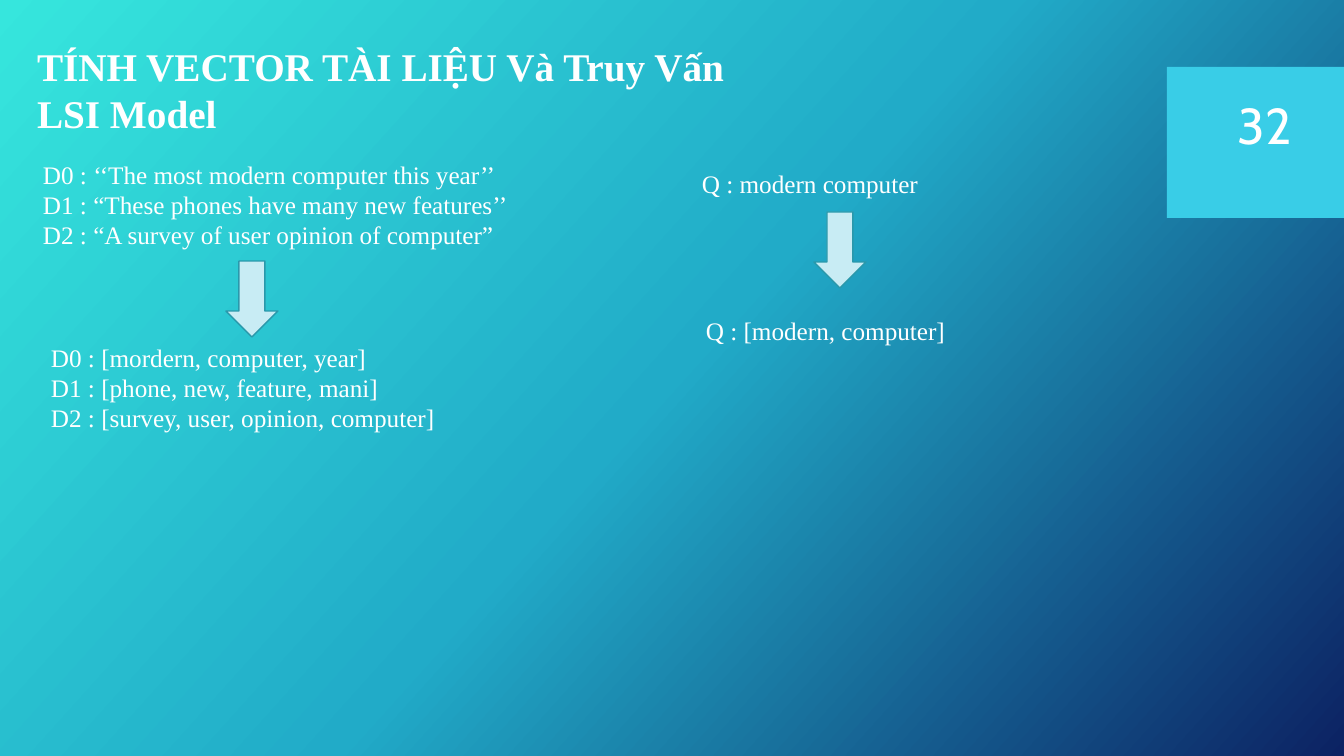
from copy import deepcopy

from pptx import Presentation
from pptx.dml.color import RGBColor
from pptx.enum.shapes import MSO_SHAPE
from pptx.enum.text import MSO_ANCHOR, MSO_AUTO_SIZE, PP_ALIGN
from pptx.util import Emu, Pt

RECT, DOWN_ARROW = MSO_SHAPE.RECTANGLE, MSO_SHAPE.DOWN_ARROW
TOP, MIDDLE = MSO_ANCHOR.TOP, MSO_ANCHOR.MIDDLE
LEFT = PP_ALIGN.LEFT
NO_FIT = MSO_AUTO_SIZE.NONE

SLIDE_W, SLIDE_H = 1344, 756
EMU_PER_PX = 12192000 / SLIDE_W
SERIF, SANS = "Times New Roman", "Cabin"
COLORS = {
    "bg_start": "36E6DD",
    "bg_middle": "21ABC8",
    "bg_end": "0C2263",
    "badge": "39CDE7",
    "arrow": "C8ECF4",
    "arrow_line": "2A98AB",
    "text": "FFFFFF",
}
TITLE = ["TÍNH VECTOR TÀI LIỆU Và Truy Vấn", "LSI Model"]
DOCUMENTS = [
    "D0 : ‘‘The most modern computer this year’’",
    "D1 : “These phones have many new features’’",
    "D2 : “A survey of user opinion of computer”",
]
DOCUMENT_TERMS = [
    "D0 : [mordern, computer, year]",
    "D1 : [phone, new, feature, mani]",
    "D2 : [survey, user, opinion, computer]",
]
ARROW_SIZE = (52, 76)


def px(n):
    return Emu(round(n * EMU_PER_PX))


def rgb(name):
    return RGBColor.from_string(COLORS[name])


def set_background(s):
    fill = s.background.fill
    fill.gradient()
    fill.gradient_angle = 360 - 42
    first = s.element.xpath(".//a:gsLst/a:gs")[0]
    first.addnext(deepcopy(first))
    names = ("bg_start", "bg_middle", "bg_end")
    for i, (stop, name) in enumerate(zip(fill.gradient_stops, names)):
        stop.position = i / 2
        stop.color.rgb = rgb(name)


def fill_text(sp, lines, size, font=SERIF, bold=False, anchor=TOP, wrap=False):
    tf = sp.text_frame
    tf.text = "\n".join(lines)
    tf.word_wrap = wrap
    tf.auto_size = NO_FIT
    tf.vertical_anchor = anchor
    for p in tf.paragraphs:
        p.alignment = LEFT
        p.font.name = font
        p.font.size = Pt(size)
        p.font.bold = bold
        p.font.color.rgb = rgb("text")


def set_title(s, box, lines):
    sp = s.shapes.title
    sp.left, sp.top, sp.width, sp.height = map(px, box)
    fill_text(sp, lines, 28, bold=True, wrap=True)


def add_text(s, box, lines, size=18, **style):
    sp = s.shapes.add_textbox(*map(px, box))
    fill_text(sp, lines, size, **style)


def add_block(s, kind, box, fill, line=None):
    sp = s.shapes.add_shape(kind, *map(px, box))
    sp.shadow.inherit = False
    sp.fill.solid()
    sp.fill.fore_color.rgb = rgb(fill)
    if line:
        sp.line.color.rgb = rgb(line)
        sp.line.width = Pt(1)
    else:
        sp.line.fill.background()


def main():
    prs = Presentation()
    prs.slide_width, prs.slide_height = px(SLIDE_W), px(SLIDE_H)
    s = prs.slides.add_slide(prs.slide_layouts.get_by_name("Title Only"))
    set_background(s)

    add_block(s, RECT, (1167, 67, 177, 151), "badge")
    set_title(s, (27, 37, 1062, 105), TITLE)
    add_text(s, (1228, 64, 116, 120), ["32"], 36, font=SANS, anchor=MIDDLE)

    add_text(s, (33, 154, 490, 102), DOCUMENTS)
    add_text(s, (41, 337, 408, 102), DOCUMENT_TERMS)
    add_text(s, (692, 163, 245, 40), ["Q : modern computer"])
    add_text(s, (696, 310, 262, 40), ["Q : [modern, computer]"])

    for left, top in ((226, 261), (814, 212)):
        add_block(s, DOWN_ARROW, (left, top, *ARROW_SIZE), "arrow", "arrow_line")

    prs.save("out.pptx")


if __name__ == "__main__":
    main()
